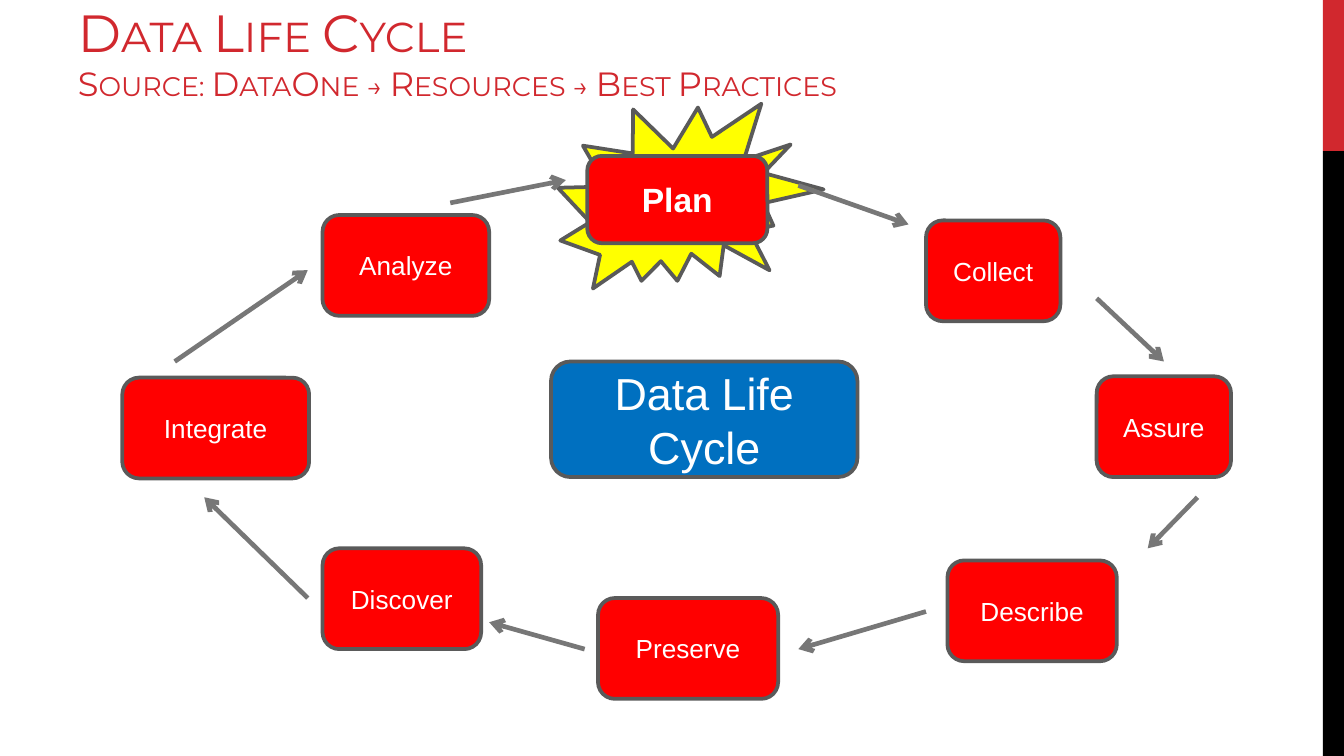
from lxml.etree import SubElement
from pptx import Presentation
from pptx.dml.color import RGBColor
from pptx.enum.shapes import MSO_CONNECTOR as Connector, MSO_SHAPE as Shape
from pptx.enum.text import MSO_ANCHOR as Anchor, MSO_AUTO_SIZE as AutoSize, PP_ALIGN as Align
from pptx.oxml.ns import qn
from pptx.util import Inches, Pt

GRID_UNIT = 0.1
COLUMNS, ROWS = 100, 56.25
BAND_HEIGHT = ROWS / 5
STEP_HEIGHT = 7.5
RED, BLUE, YELLOW, WHITE, BLACK = "FF0000", "0070C0", "FFFF00", "FFFFFF", "000000"
CRIMSON, OUTLINE, ARROW = "D1282E", "5A5A5A", "777777"

STEPS = [
    ("Collect", 68.9, 16.4, 10),
    ("Assure", 81.6, 28, 10),
    ("Describe", 70.5, 41.7, 12.6),
    ("Preserve", 44.5, 44.5, 13.4),
    ("Discover", 24, 40.8, 11.8),
    ("Integrate", 9.1, 28.1, 13.9),
    ("Analyze", 24, 16, 12.4),
]
ARROWS = [
    (59.4, 13.8, 67.6, 16.7),
    (81.6, 22.2, 86.6, 26.9),
    (89.1, 37, 85.4, 40.8),
    (68.9, 45.5, 59.4, 48.3),
    (43.5, 48.3, 36.4, 46.3),
    (22.9, 44.5, 15.2, 37),
    (13, 26.9, 22.9, 20.1),
    (33.5, 15.1, 42.1, 13.4),
]


def color(value):
    return RGBColor.from_string(value)


def grid(*cells):
    return [Inches(cell * GRID_UNIT) for cell in cells]


def apply(target, values):
    for name, value in values.items():
        setattr(target, name, value)


def place(shape, *cells):
    apply(shape, dict(zip(("left", "top", "width", "height"), grid(*cells))))


def paint(shape, fill, outline=OUTLINE):
    shape.fill.solid()
    shape.fill.fore_color.rgb = color(fill)
    if outline:
        shape.line.color.rgb = color(outline)
        shape.line.width = Pt(2)
    else:
        shape.line.fill.background()


def format_font(font, size, tint=WHITE, face="Arial", bold=False):
    apply(font, {"name": face, "size": Pt(size), "bold": bold})
    font.color.rgb = color(tint)


def format_frame(frame, anchor, inset):
    margins = dict.fromkeys(("margin_top", "margin_bottom"), Inches(inset))
    sides = dict.fromkeys(("margin_left", "margin_right"), Inches(0.1))
    apply(frame, {"word_wrap": True, "auto_size": AutoSize.NONE,
                  "vertical_anchor": anchor, **margins, **sides})


def add_box(page, preset, cells, fill, outline=OUTLINE):
    box = page.shapes.add_shape(preset, *grid(*cells))
    box.shadow.inherit = False
    paint(box, fill, outline)
    return box


def add_label(page, text, cells, fill, size):
    box = add_box(page, Shape.ROUNDED_RECTANGLE, cells, fill)
    format_frame(box.text_frame, Anchor.MIDDLE, 0.05)
    para = box.text_frame.paragraphs[0]
    para.text = text
    para.alignment = Align.CENTER
    format_font(para.font, size)


def add_arrow(page, cells):
    arrow = page.shapes.add_connector(Connector.STRAIGHT, *grid(*cells))
    arrow.line.color.rgb = color(ARROW)
    arrow.line.width = Pt(2.5)
    SubElement(arrow.line._get_or_add_ln(), qn("a:tailEnd"), type="arrow")
    SubElement(arrow.element.spPr, qn("a:effectLst"))


def fill_title(title):
    place(title, 4.8, -2.6, 74.1, 11.25)
    format_frame(title.text_frame, Anchor.BOTTOM, 0.1)
    para = title.text_frame.paragraphs[0]
    para.alignment = Align.LEFT
    lines = [("Data Life Cycle", 28),
             ("Source: DataOne → Resources → Best Practices", 18)]
    for index, (text, size) in enumerate(lines):
        if index:
            para.add_line_break()
        span = para.add_run()
        span.text = text
        format_font(span.font, size, CRIMSON, "Montserrat")
        span.font._element.set("cap", "small")


def fill_plan(plan):
    place(plan, 43.7, 11.6, 13.4, 6.5)
    geometry = SubElement(plan.element.spPr, qn("a:prstGeom"), prst="roundRect")
    SubElement(geometry, qn("a:avLst"))
    paint(plan, RED)
    format_frame(plan.text_frame, Anchor.MIDDLE, 0.1)
    para = plan.text_frame.paragraphs[0]
    para.text = "Plan"
    properties = para._p.get_or_add_pPr()
    properties.set("marL", "0")
    properties.set("indent", "0")
    SubElement(properties, qn("a:buNone"))
    apply(para, {"alignment": Align.CENTER, "space_before": Pt(0), "space_after": Pt(0)})
    format_font(para.font, 18, bold=True)


def add_burst(page, plan):
    burst = add_box(page, Shape.EXPLOSION2, (41.6, 6.6, 19.2, 16.4), YELLOW)
    burst.rotation = 14.2
    plan.element.addprevious(burst.element)


def main():
    deck = Presentation()
    deck.slide_width, deck.slide_height = grid(COLUMNS, ROWS)
    page = deck.slides.add_slide(deck.slide_layouts[1])
    title, plan = page.placeholders
    fill_title(title)
    fill_plan(plan)
    add_burst(page, plan)
    add_box(page, Shape.RECTANGLE, (98.43, 0, 1.57, BAND_HEIGHT), CRIMSON, None)
    add_box(page, Shape.RECTANGLE, (98.43, BAND_HEIGHT, 1.57, ROWS - BAND_HEIGHT), BLACK, None)
    for text, left, top, width in STEPS:
        add_label(page, text, (left, top, width, STEP_HEIGHT), RED, 14)
    add_label(page, "Data Life Cycle", (41, 26.9, 22.8, 8.6), BLUE, 24)
    for cells in ARROWS:
        add_arrow(page, cells)
    deck.save("out.pptx")


if __name__ == "__main__":
    main()
